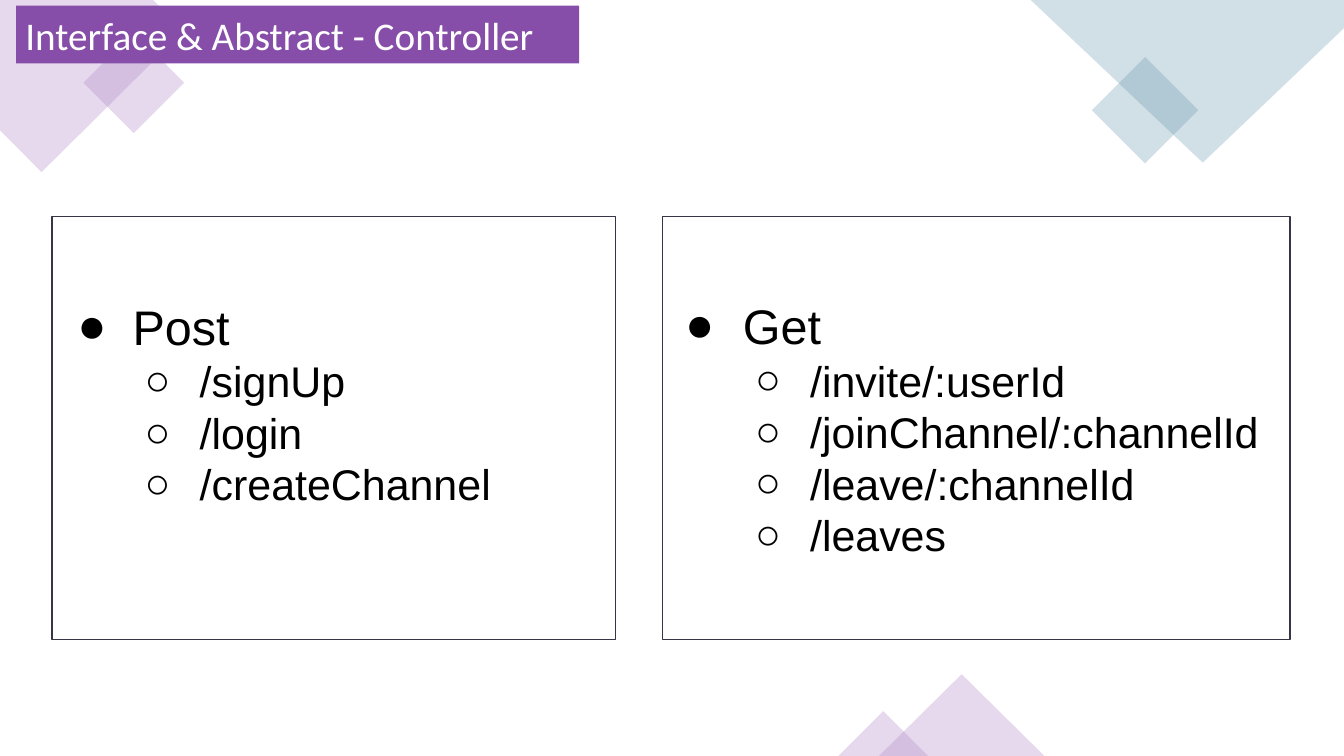
from dataclasses import dataclass

from lxml.etree import SubElement
from pptx import Presentation
from pptx.dml.color import RGBColor
from pptx.enum.shapes import MSO_SHAPE
from pptx.enum.text import MSO_ANCHOR, MSO_AUTO_SIZE, PP_ALIGN
from pptx.oxml.ns import qn
from pptx.util import Pt


@dataclass(frozen=True)
class Theme:
    lilac: str = "AD84C6"
    blue: str = "6997AF"
    purple: str = "864EA9"
    border: str = "373545"
    black: str = "000000"
    white: str = "FFFFFF"
    title_font: str = "Calibri"
    body_font: str = "Arial"
    title_size: int = 21
    heading_size: int = 26
    item_size: int = 23
    decoration_opacity: int = 30


THEME = Theme()


def tint(shape, color):
    shape.shadow.inherit = False
    shape.line.fill.background()
    shape.fill.solid()
    shape.fill.fore_color.rgb = RGBColor.from_string(color)
    color_node = shape.fill._xPr.find(".//" + qn("a:srgbClr"))
    SubElement(color_node, qn("a:alpha"), val=str(THEME.decoration_opacity * 1000))


def add_corner(page, points, color):
    start, *rest = [(Pt(x), Pt(y)) for x, y in points]
    builder = page.shapes.build_freeform(*start)
    builder.add_line_segments(rest, close=True)
    tint(builder.convert_to_shape(), color)


def add_diamond(page, left, top, side, color):
    diamond = page.shapes.add_shape(
        MSO_SHAPE.RECTANGLE, Pt(left), Pt(top), Pt(side), Pt(side))
    diamond.rotation = 315
    tint(diamond, color)


def add_triangle(page, left, top, width, height, color):
    triangle = page.shapes.add_shape(
        MSO_SHAPE.ISOSCELES_TRIANGLE, Pt(left), Pt(top), Pt(width), Pt(height))
    tint(triangle, color)


def place(box, left, top, width, height, anchor, insets):
    box.left, box.top, box.width, box.height = Pt(left), Pt(top), Pt(width), Pt(height)
    frame = box.text_frame
    frame.word_wrap = True
    frame.auto_size = MSO_AUTO_SIZE.NONE
    frame.vertical_anchor = anchor
    (frame.margin_left, frame.margin_top,
     frame.margin_right, frame.margin_bottom) = [Pt(inset) for inset in insets]


def style_paragraph(para, font, size, color):
    para.alignment = PP_ALIGN.LEFT
    para.line_spacing = 1.0
    para.space_before = para.space_after = Pt(0)
    para.font.name = font
    para.font.size = Pt(size)
    para.font.color.rgb = RGBColor.from_string(color)


def set_bullet(para, mark, indent, hanging):
    properties = para._p.get_or_add_pPr()
    properties.set("marL", str(Pt(indent)))
    properties.set("indent", str(-Pt(hanging)))
    bullet_color = SubElement(properties, qn("a:buClr"))
    SubElement(bullet_color, qn("a:srgbClr"), val=THEME.black)
    SubElement(properties, qn("a:buFont"), typeface=THEME.body_font)
    SubElement(properties, qn("a:buChar"), char=mark)


def fill_title(title, text):
    place(title, 8.6, 3, 301.7, 31, MSO_ANCHOR.TOP, (5, 2.9, 5, 2.9))
    title.fill.solid()
    title.fill.fore_color.rgb = RGBColor.from_string(THEME.purple)
    title.text_frame.text = text
    style_paragraph(title.text_frame.paragraphs[0],
                    THEME.title_font, THEME.title_size, THEME.white)


def fill_routes(box, left, width, heading, hanging, routes, bottom_inset):
    place(box, left, 116, width, 226.8, MSO_ANCHOR.MIDDLE, (7.2, 7.2, 7.2, bottom_inset))
    box.line.color.rgb = RGBColor.from_string(THEME.border)
    box.line.width = Pt(0.75)
    box.text_frame.text = "\n".join([heading, *routes])
    for index, para in enumerate(box.text_frame.paragraphs):
        if index == 0:
            set_bullet(para, "●", 36, hanging)
            size = THEME.heading_size
        else:
            para.level = 1
            set_bullet(para, "○", 72, 29.5)
            size = THEME.item_size
        style_paragraph(para, THEME.body_font, size, THEME.black)


def bring_to_front(page, boxes):
    for box in boxes:
        page.shapes._spTree.append(box._element)


def main():
    deck = Presentation()
    deck.slide_width, deck.slide_height = Pt(720), Pt(405)
    page = deck.slides.add_slide(deck.slide_layouts[3])
    title, post_box, get_box = page.placeholders

    add_corner(page, [(82.1, 0), (0, 0), (0, 69.8), (22.3, 92.2), (98.6, 16.6)], THEME.lilac)
    add_diamond(page, 52.6, 25.2, 38.2, THEME.lilac)
    add_diamond(page, 593.3, 38.9, 40.3, THEME.blue)
    add_corner(page, [(720, 0), (552.2, 0), (644.4, 87.1), (720, 15.1)], THEME.blue)
    add_triangle(page, 470.9, 361.2, 88.6, 43.8, THEME.lilac)
    add_triangle(page, 449.1, 381, 48.2, 24, THEME.lilac)

    fill_title(title, "Interface & Abstract - Controller")
    fill_routes(post_box, 27.8, 301.9, "Post", 29.5,
                ["/signUp", "/login", "/createChannel"], 34)
    fill_routes(get_box, 354.8, 336.4, "Get", 31,
                ["/invite/:userId", "/joinChannel/:channelId",
                 "/leave/:channelId", "/leaves"], 7.2)
    bring_to_front(page, [title, post_box, get_box])
    deck.save("out.pptx")


if __name__ == "__main__":
    main()
